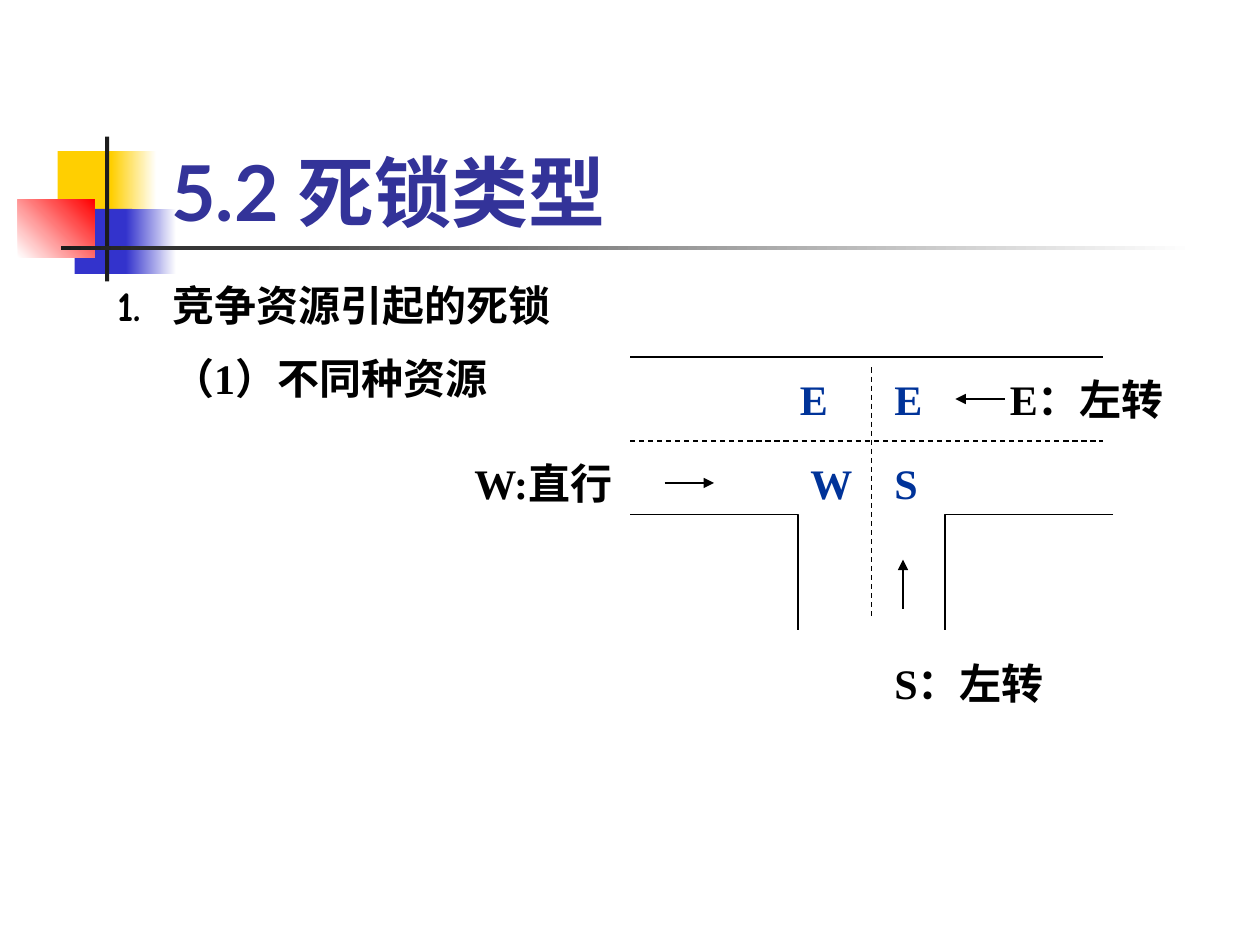
from lxml.etree import SubElement
from pptx import Presentation
from pptx.dml.color import RGBColor
from pptx.enum.dml import MSO_LINE_DASH_STYLE as Dash
from pptx.enum.shapes import MSO_CONNECTOR as Connector, MSO_SHAPE as Shape
from pptx.enum.text import MSO_ANCHOR as Anchor, MSO_AUTO_SIZE as AutoSize, PP_ALIGN as Align
from pptx.oxml.ns import qn
from pptx.util import Pt

PX = 7620
BLACK = RGBColor(0x00, 0x00, 0x00)
WHITE = RGBColor(0xFF, 0xFF, 0xFF)
CHARCOAL = RGBColor(0x1C, 0x1C, 0x1C)
YELLOW = RGBColor(0xFF, 0xCF, 0x01)
BLUE = RGBColor(0x33, 0x33, 0xCC)
RED = RGBColor(0xFF, 0x00, 0x00)
TITLE_BLUE = RGBColor(0x33, 0x33, 0x99)
LANE_BLUE = RGBColor(0x00, 0x33, 0x99)
SERIF = "Times New Roman"


def px(*lengths):
    """Turn pixel lengths into EMU."""
    return [length * PX for length in lengths]


def style(font, size, color, name=SERIF):
    """Make a font bold with the given size, colour and typeface."""
    font.size, font.bold, font.name = Pt(size), True, name
    font.color.rgb = color


def add_text_box(slide, left, top, width, height):
    """Add a wrapping text box that grows with its text."""
    frame = slide.shapes.add_textbox(*px(left, top, width, height)).text_frame
    frame.word_wrap = True
    frame.auto_size = AutoSize.SHAPE_TO_FIT_TEXT
    return frame


def add_label(slide, text, left, top, width, color):
    """Add a one-paragraph label."""
    paragraph = add_text_box(slide, left, top, width, 60).paragraphs[0]
    paragraph.text = text
    style(paragraph.runs[0].font, 24, color)


def add_line(slide, start, end, dashed=False, arrow=False):
    """Add a thin straight line, dashed or with an arrowhead on request."""
    line = slide.shapes.add_connector(Connector.STRAIGHT, *px(*start, *end))
    line.line.color.rgb = BLACK
    line.line.width = Pt(0.75)
    if dashed:
        line.line.dash_style = Dash.DASH
    if arrow:
        SubElement(line.line._get_or_add_ln(), qn("a:tailEnd"), type="triangle")
    SubElement(line._element.spPr, qn("a:effectLst"))


def add_ornament(slide, left, top):
    """Draw the coloured squares and crossing bars beside the title."""
    blocks = [
        (38, 14, 58, 62, YELLOW, YELLOW, 0),
        (89, 14, 43, 62, YELLOW, WHITE, 0),
        (54, 69, 55, 62, BLUE, BLUE, 0),
        (103, 69, 48, 62, BLUE, WHITE, 0),
        (0, 60, 73, 55, WHITE, RED, 45),
        (83, 0, 4, 138, CHARCOAL, CHARCOAL, 0),
        (41, 104, 1080, 4, CHARCOAL, WHITE, 0),
    ]
    for x, y, width, height, first, last, angle in blocks:
        block = slide.shapes.add_shape(Shape.RECTANGLE, *px(left + x, top + y, width, height))
        block.shadow.inherit = False
        block.line.fill.background()
        if first == last:
            block.fill.solid()
            block.fill.fore_color.rgb = first
        else:
            block.fill.gradient()
            block.fill.gradient_angle = angle
            for stop, color in zip(block.fill.gradient_stops, (first, last)):
                stop.color.rgb = color


def add_title(slide, left, top, width, height):
    """Place the title in front of the ornament."""
    title = slide.shapes.title
    title.left, title.top, title.width, title.height = px(left, top, width, height)
    frame = title.text_frame
    frame.text = "5.2 死锁类型"
    frame.vertical_anchor = Anchor.BOTTOM
    paragraph = frame.paragraphs[0]
    paragraph.alignment = Align.LEFT
    style(paragraph.runs[0].font, 44, TITLE_BLUE, "Lato")
    title._element.getparent().append(title._element)


def add_outline(slide, left, top, width, height):
    """Write the numbered heading and its sub-item."""
    frame = add_text_box(slide, left, top, width, height)
    heading = frame.paragraphs[0]
    item = frame.add_paragraph()
    item.space_before = Pt(13)
    parts = [(heading, "1.\t", "Comic Neue"), (heading, "竞争资源引起的死锁", SERIF),
             (item, "（1）不同种资源", SERIF)]
    for paragraph, text, typeface in parts:
        run = paragraph.add_run()
        run.text = text
        style(run.font, 24, BLACK, typeface)
    for paragraph, indent in ((heading, -52), (item, 0)):
        properties = paragraph._p.get_or_add_pPr()
        properties.set("marL", str(52 * PX))
        properties.set("indent", str(indent * PX))


def add_junction(slide, left, top):
    """Draw the T-junction with its lanes, cells and incoming traffic."""
    def at(x, y):
        return left + x, top + y

    add_line(slide, at(0, 0), at(450, 0))
    for outer, corner in ((0, 160), (460, 300)):
        builder = slide.shapes.build_freeform(outer, 150, scale=PX)
        builder.add_line_segments([(corner, 150), (corner, 260)], close=False)
        kerb = builder.convert_to_shape(*px(left, top))
        kerb.shadow.inherit = False
        kerb.fill.background()
        kerb.line.color.rgb = BLACK
        kerb.line.width = Pt(0.75)
    add_line(slide, at(0, 80), at(450, 80), dashed=True)
    add_line(slide, at(230, 10), at(230, 250), dashed=True)

    for cell, x, y in (("S", 240, 90), ("E", 240, 10), ("E", 150, 10), ("W", 160, 90)):
        add_label(slide, cell, *at(x, y), 60, LANE_BLUE)

    traffic = [
        ("W:直行", -160, 90, 160, (33, 120), (80, 120)),
        ("E：左转", 350, 10, 180, (357, 40), (310, 40)),
        ("S：左转", 240, 280, 170, (260, 240), (260, 193)),
    ]
    for text, x, y, width, start, end in traffic:
        add_line(slide, at(*start), at(*end), arrow=True)
        add_label(slide, text, *at(x, y), width, BLACK)


def main():
    """Build and save the slide."""
    deck = Presentation()
    deck.slide_width, deck.slide_height = px(1200, 900)
    slide = deck.slides.add_slide(deck.slide_layouts[5])
    add_ornament(slide, 17, 130)
    add_title(slide, 151, 82, 1022, 150)
    add_outline(slide, 100, 260, 990, 401)
    add_junction(slide, 600, 340)
    deck.save("out.pptx")


if __name__ == "__main__":
    main()
